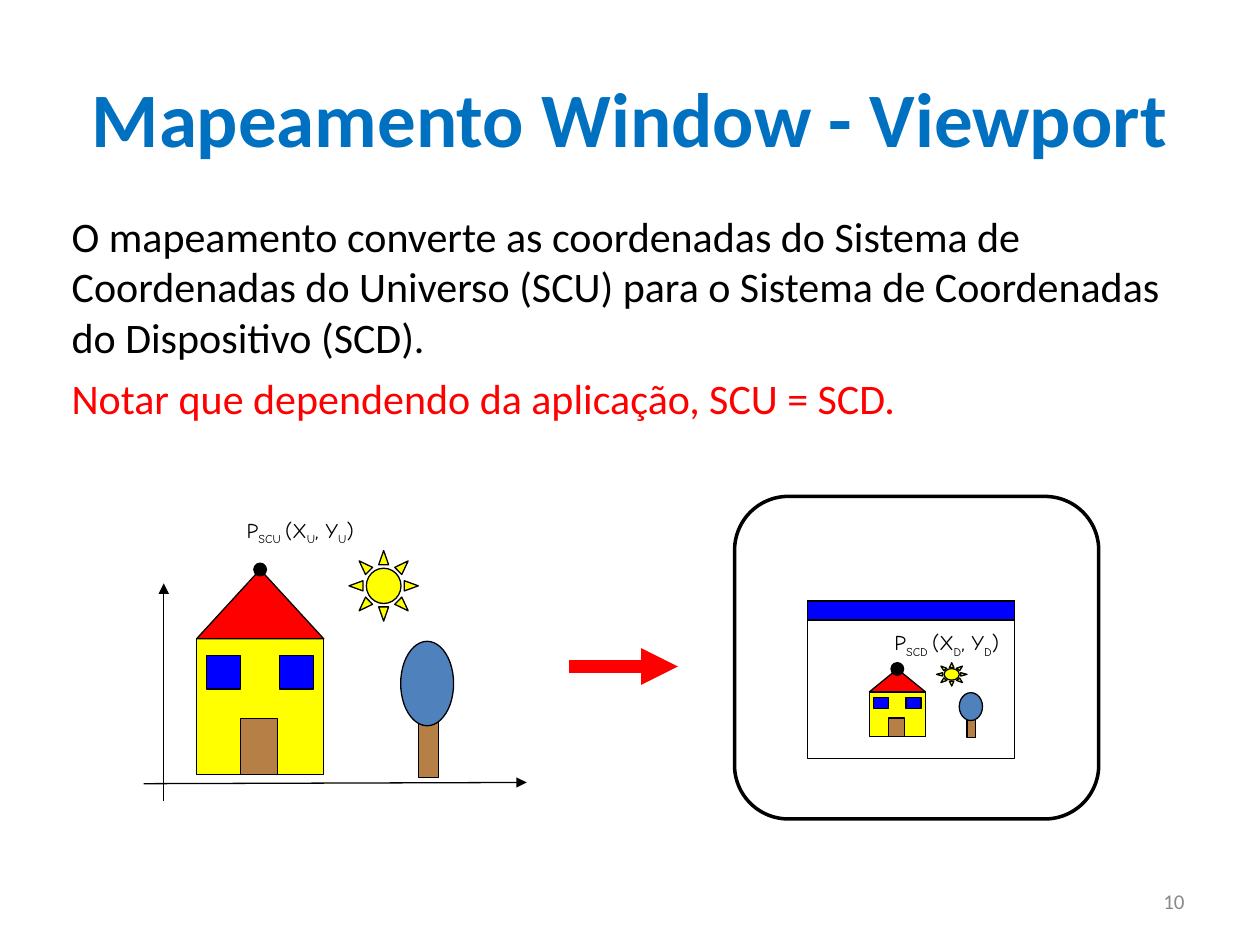
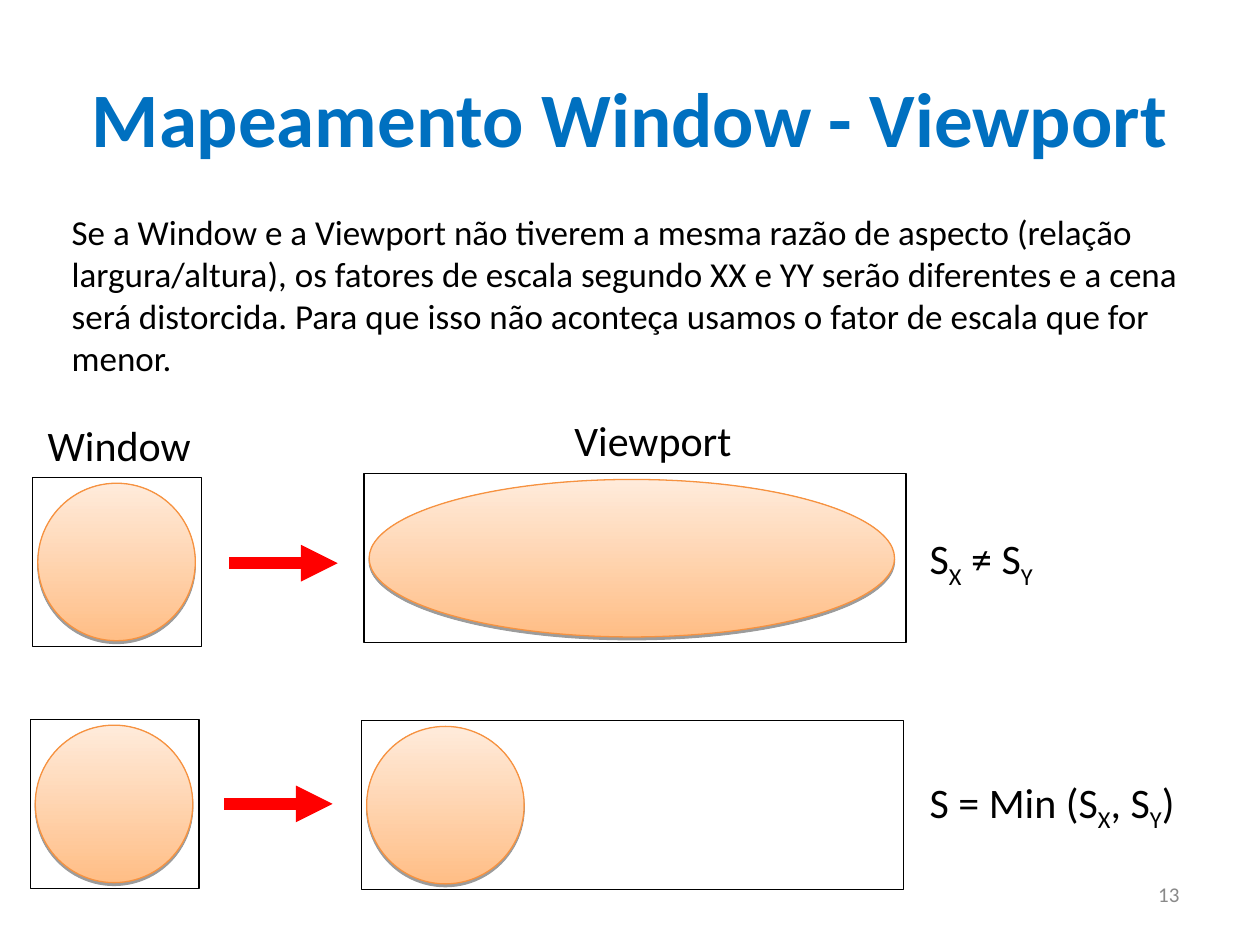
from lxml.etree import SubElement as Sub
from pptx import Presentation
from pptx.dml.color import RGBColor as RGB
from pptx.enum.shapes import MSO_CONNECTOR as Link, MSO_SHAPE as Kind
from pptx.enum.text import MSO_ANCHOR as Anchor, MSO_AUTO_SIZE as Auto, PP_ALIGN as Align
from pptx.oxml.ns import qn
from pptx.util import Inches, Pt

HUES = {
    "title": "0070C0", "black": "000000", "white": "FFFFFF", "red": "FF0000",
    "grey": "898989", "brown": "B67F46", "leaf": "4F81BD", "yellow": "FFFF00",
    "blue": "0000FF", "peach": "FFBE86", "cream": "FFEBDB", "orange": "F69240",
}
INK = {name: RGB.from_string(code) for name, code in HUES.items()}

deck = Presentation()
deck.slide_width, deck.slide_height = Inches(10), Inches(7.5)
COL, ROW = deck.slide_width / 100, deck.slide_height / 75


def write(slide, text, x, y, w, h, size=24, font="Calibri", tones=("black",),
          bold=False, align=Align.LEFT, anchor=Anchor.TOP, gap=0, wrap=True):
    box = slide.shapes.add_textbox(*map(int, (x * COL, y * ROW, w * COL, h * ROW)))
    frame = box.text_frame
    frame.word_wrap = wrap
    frame.auto_size = Auto.NONE if wrap else Auto.SHAPE_TO_FIT_TEXT
    frame.vertical_anchor = anchor
    for n, (line, tone) in enumerate(zip(text.split("\n"), tones)):
        para = frame.add_paragraph() if n else frame.paragraphs[0]
        para.alignment = align
        para.space_before = Pt(gap)
        for k, part in enumerate(line.split("_")):
            if part:
                run = para.add_run()
                run.text = part
                run.font.name, run.font.size = font, Pt(size)
                run.font.bold = bold
                run.font.color.rgb = INK[tone]
                if k % 2:
                    run.font._element.set("baseline", "-25000")


def draw(shapes, kind, x, y, w, h, fill=None, line="black", width=0.75):
    x, y, w, h = map(int, (x * COL, y * ROW, w * COL, h * ROW))
    if kind == "arrow":
        item = shapes.add_connector(Link.STRAIGHT, x, y, x + w, y + h)
    else:
        item = shapes.add_shape(kind, x, y, w, h)
        item.shadow.inherit = False
        if fill == "peach":
            item.fill.gradient()
            item.fill.gradient_angle = 90
            for stop, tone in zip(item.fill.gradient_stops, ("peach", "cream")):
                stop.color.rgb = INK[tone]
            effect = item._element.spPr.find(qn("a:effectLst"))
            shade = Sub(effect, qn("a:outerShdw"), blurRad="0", dist="20320",
                        dir="5400000", rotWithShape="0")
            tint = Sub(shade, qn("a:srgbClr"), val=HUES["black"])
            Sub(tint, qn("a:alpha"), val="38000")
        elif fill:
            item.fill.solid()
            item.fill.fore_color.rgb = INK[fill]
        else:
            item.fill.background()
    item.line.color.rgb = INK[line]
    item.line.width = Pt(width)
    if kind == "arrow":
        props = item._element.spPr
        Sub(props.find(qn("a:ln")), qn("a:tailEnd"), type="triangle")
        Sub(props, qn("a:effectLst"))


PAGES = [
    dict(no="10", foot=(71.7, 69.5), wide=91.8, size=24, gap=6, tones=("black", "red"),
         body="O mapeamento converte as coordenadas do Sistema de Coordenadas do Universo (SCU) "
              "para o Sistema de Coordenadas do Dispositivo (SCD).\n"
              "Notar que dependendo da aplicação, SCU = SCD."),
    dict(no="13", foot=(71.3, 69), wide=90.2, size=20, gap=5, tones=("black",),
         body="Se a Window e a Viewport não tiverem a mesma razão de aspecto (relação "
              "largura/altura), os fatores de escala segundo XX e YY serão diferentes e a cena "
              "será distorcida. Para que isso não aconteça usamos o fator de escala que for menor."),
]
slides = []
for page in PAGES:
    slide = deck.slides.add_slide(deck.slide_layouts[6])
    write(slide, "Mapeamento Window - Viewport", 5, 3, 90, 12.5, size=44, tones=("title",),
          bold=True, align=Align.CENTER, anchor=Anchor.MIDDLE)
    write(slide, page["no"], *page["foot"], 23.3, 4, size=12, tones=("grey",),
          align=Align.RIGHT, anchor=Anchor.MIDDLE)
    write(slide, page["body"], 4.7, 16.2, page["wide"], 16.5, size=page["size"],
          gap=page["gap"], tones=page["tones"])
    slides.append(slide)
scene, scale = slides

draw(scene.shapes, "arrow", 13, 63.6, 0, -17.3)
draw(scene.shapes, "arrow", 11.4, 62.2, 30.4, -0.1)
draw(scene.shapes, "arrow", 45.2, 52.9, 8.6, 0, line="red", width=7)
draw(scene.shapes, Kind.ROUNDED_RECTANGLE, 58.3, 39.4, 28.9, 25.6, fill="white", width=2)
draw(scene.shapes, Kind.RECTANGLE, 64.1, 47.7, 16.4, 12.5, fill="white")
draw(scene.shapes, Kind.RECTANGLE, 64.1, 47.7, 16.4, 1.5, fill="blue")

PARTS = [
    (Kind.RECTANGLE, 17.6, 12.7, 1.6, 5.3, "brown"),
    (Kind.OVAL, 16.2, 7.2, 4.2, 6.7, "leaf"),
    (Kind.RECTANGLE, 0, 7, 10.1, 10.8, "yellow"),
    (Kind.ISOSCELES_TRIANGLE, 0, 1.5, 10.1, 5.5, "red"),
    (Kind.RECTANGLE, 3.5, 13.3, 2.9, 4.5, "brown"),
    (Kind.RECTANGLE, 0.8, 8.3, 2.7, 2.7, "blue"),
    (Kind.RECTANGLE, 6.6, 8.3, 2.7, 2.7, "blue"),
    (Kind.SUN, 12.1, 0, 5.5, 5.6, "yellow"),
]
VIEWS = [
    (15.6, 43.7, 1, 1, "P_SCU _(X_U_, Y_U_)", 18.6, 40.6, 10.5),
    (69, 52.6, 0.44, 0.33, "P_SCD _(X_D_, Y_D_)", 70, 49.5, 10.3),
]
for left, top, sx, sy, label, x, y, wide in VIEWS:
    group = scene.shapes.add_group_shape()
    for kind, px, py, w, h, fill in PARTS:
        draw(group.shapes, kind, left + px * sx, top + py * sy, w * sx, h * sy, fill=fill)
    draw(scene.shapes, Kind.OVAL, left + 5.05 * sx - 0.5, top + 1.5 * sy - 0.5, 1, 1, fill="black")
    write(scene, label, x, y, wide, 3.3, size=12, font="Comic Neue", wrap=False)

CASES = [
    (2.6, 37.9, 28.9, 37.6, 41.7, 18.2, 44.7, "S_X_ ≠ S_Y_", 41.8, 10.2),
    (2.4, 57.1, 28.7, 57.2, 12.5, 17.8, 63.8, "S = Min (S_X_, S_Y_)", 61.1, 21.4),
]
for wx, wy, vx, vy, oval, ax, ay, rule, ry, wide in CASES:
    for x, y, w, disc in ((wx, wy, 13.4, 12.5), (vx, vy, 43, oval)):
        draw(scale.shapes, Kind.RECTANGLE, x, y, w, 13.4)
        draw(scale.shapes, Kind.OVAL, x + 0.4, y + 0.45, disc, 12.5, fill="peach", line="orange")
    draw(scale.shapes, "arrow", ax, ay, 8.6, 0, line="red", width=7)
    write(scale, rule, 72.8, ry, wide, 5.6, wrap=False)
for name, x, y, w in (("Window", 2.8, 32.8, 13.4), ("Viewport", 44.6, 32.4, 14.5)):
    write(scale, name, x, y, w, 5, wrap=False)

deck.save("out.pptx")
